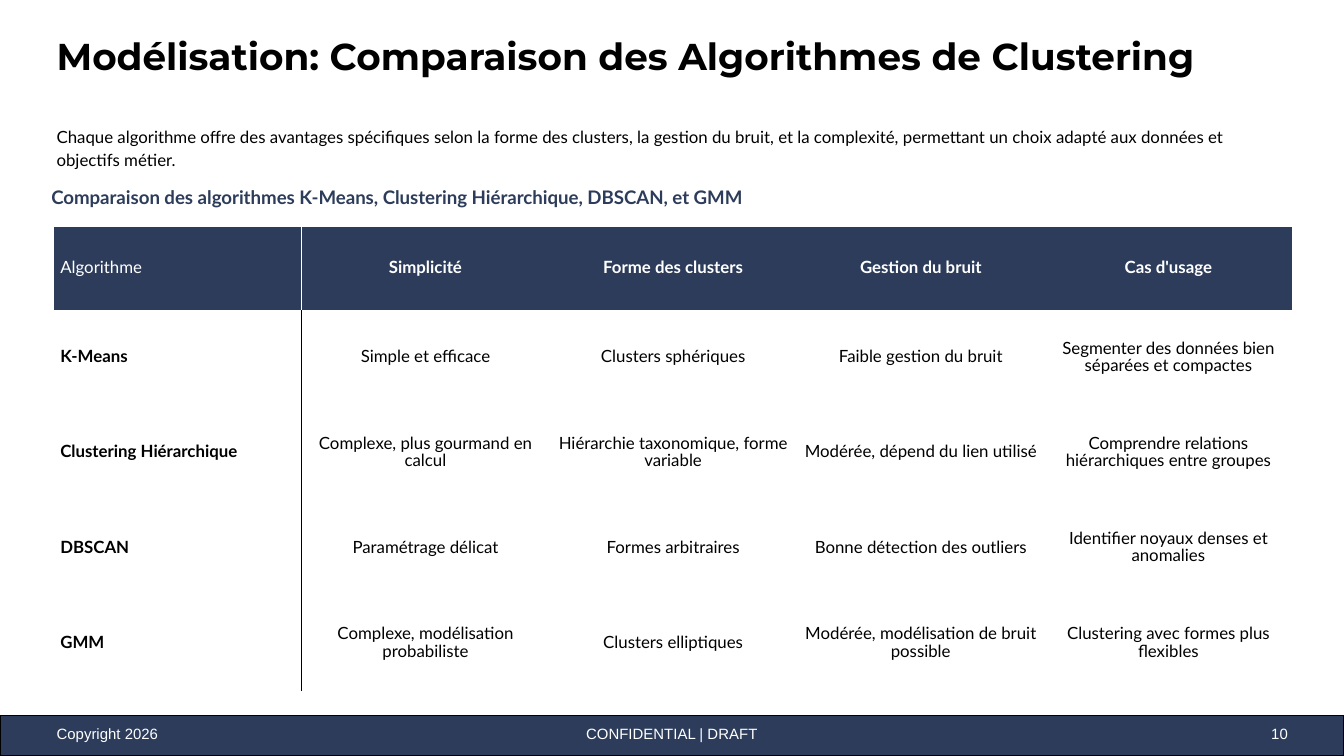
import pptx
import pptx.dml.color
import pptx.enum.shapes
import pptx.enum.text
import pptx.oxml
import pptx.oxml.ns
import pptx.util

Cm = pptx.util.Cm
Align = pptx.enum.text.PP_ALIGN
Anchor = pptx.enum.text.MSO_ANCHOR

NAVY, WHITE, BLACK = "2C3C5A", "FFFFFF", "000000"
MARGIN = 0.97
ROWS = [
    ["Algorithme", "Simplicité", "Forme des clusters", "Gestion du bruit", "Cas d'usage"],
    ["K-Means", "Simple et efficace", "Clusters sphériques", "Faible gestion du bruit",
     "Segmenter des données bien séparées et compactes"],
    ["Clustering Hiérarchique", "Complexe, plus gourmand en calcul",
     "Hiérarchie taxonomique, forme variable", "Modérée, dépend du lien utilisé",
     "Comprendre relations hiérarchiques entre groupes"],
    ["DBSCAN", "Paramétrage délicat", "Formes arbitraires", "Bonne détection des outliers",
     "Identifier noyaux denses et anomalies"],
    ["GMM", "Complexe, modélisation probabiliste", "Clusters elliptiques",
     "Modérée, modélisation de bruit possible", "Clustering avec formes plus flexibles"],
]


def rgb(code):
    """Return the colour for a hex string."""
    return pptx.dml.color.RGBColor.from_string(code)


def write_text(frame, text, size=9, font="Lato", color=BLACK, bold=False,
               align=Align.LEFT, spacing=None):
    """Write one formatted paragraph into a text frame."""
    paragraph = frame.paragraphs[0]
    paragraph.alignment = align
    if spacing:
        paragraph.line_spacing = spacing
    run = paragraph.add_run()
    run.text = text
    run.font.size = pptx.util.Pt(size)
    run.font.name = font
    run.font.bold = bold
    run.font.color.rgb = rgb(color)


def set_insets(target, left, top, right, bottom):
    """Set the inner margins of a text frame or a cell, in centimetres."""
    target.margin_left, target.margin_top = Cm(left), Cm(top)
    target.margin_right, target.margin_bottom = Cm(right), Cm(bottom)


def add_text(slide, text, left, top, width, height, insets=(0.1, 0.1, 0.1, 0.1),
             anchor=Anchor.MIDDLE, **style):
    """Add a wrapped text box placed in centimetres."""
    frame = slide.shapes.add_textbox(Cm(left), Cm(top), Cm(width), Cm(height)).text_frame
    frame.word_wrap = True
    frame.vertical_anchor = anchor
    set_insets(frame, *insets)
    write_text(frame, text, **style)


def set_borders(cell, **colors):
    """Draw the named cell sides (L, R, T, B) and clear the others."""
    for side in "LRTB":
        color = colors.get(side)
        paint = (f'<a:solidFill><a:srgbClr val="{color}"/></a:solidFill>'
                 if color else "<a:noFill/>")
        cell._tc.get_or_add_tcPr().append(pptx.oxml.parse_xml(
            f'<a:ln{side} {pptx.oxml.ns.nsdecls("a")} w="9525">{paint}</a:ln{side}>'))


def format_cell(cell, text, is_header, column):
    """Fill one table cell according to its row kind and column."""
    cell.vertical_anchor = Anchor.MIDDLE
    set_insets(cell, 0.12, 0, 0.12, 0)
    divider = WHITE if is_header else BLACK
    set_borders(cell, **{0: {"R": divider}, 1: {"L": divider}}.get(column, {}))
    if is_header:
        cell.fill.solid()
        cell.fill.fore_color.rgb = rgb(NAVY)
    else:
        cell.fill.background()
    write_text(cell.text_frame, text, color=WHITE if is_header else BLACK,
               bold=is_header != (column == 0),
               align=Align.CENTER if column else Align.LEFT, spacing=0.85)


def add_comparison(slide):
    """Add the table comparing the algorithms."""
    heights = [1.57] + [1.8] * (len(ROWS) - 1)
    column_count = len(ROWS[0])
    table = slide.shapes.add_table(len(ROWS), column_count, Cm(1.02), Cm(4.29),
                                   Cm(4.68 * column_count), Cm(sum(heights))).table
    table.horz_banding = False
    for column in table.columns:
        column.width = Cm(4.68)
    for row_index, (texts, height) in enumerate(zip(ROWS, heights)):
        table.rows[row_index].height = Cm(height)
        for column_index, text in enumerate(texts):
            format_cell(table.cell(row_index, column_index), text,
                        row_index == 0, column_index)


def add_footer(slide):
    """Add the footer band and its three labels."""
    band = slide.shapes.add_shape(pptx.enum.shapes.MSO_SHAPE.RECTANGLE,
                                  0, Cm(13.52), Cm(25.4), Cm(0.76))
    band.shadow.inherit = False
    band.fill.solid()
    band.fill.fore_color.rgb = rgb(NAVY)
    band.line.color.rgb = rgb(BLACK)
    band.line.width = pptx.util.Pt(0.75)
    labels = [("CONFIDENTIAL | DRAFT", 8.41, 8.58, Align.CENTER),
              ("Copyright 2026", MARGIN, 8.58, Align.LEFT),
              ("10", 18.72, 5.72, Align.RIGHT)]
    for text, left, width, align in labels:
        add_text(slide, text, left, 13.61, width, 0.53,
                 size=8, font="Arial", color=WHITE, align=align)


def main():
    """Build the slide and save it."""
    deck = pptx.Presentation()
    deck.slide_width, deck.slide_height = Cm(25.4), Cm(14.29)
    slide = deck.slides.add_slide(deck.slide_layouts[6])
    add_footer(slide)
    add_comparison(slide)
    add_text(slide, "Comparaison des algorithmes K-Means, Clustering Hiérarchique, DBSCAN, et GMM",
             MARGIN, 3.33, 23.6, 0.79, insets=(0, 0.25, 0.25, 0.25),
             size=10, color=NAVY, bold=True)
    add_text(slide, "Modélisation: Comparaison des Algorithmes de Clustering",
             MARGIN, 0.48, 23.5, 1.04, insets=(0.1, 0.1, 0.1, 0),
             size=20, font="Montserrat", bold=True)
    add_text(slide, "Chaque algorithme offre des avantages spécifiques selon la forme des clusters, "
             "la gestion du bruit, et la complexité, permettant un choix adapté aux données "
             "et objectifs métier.",
             MARGIN, 2.16, 23.5, 1.3, insets=(0.1, 0.18, 0.1, 0.1),
             anchor=Anchor.TOP, spacing=1.15)
    deck.save("out.pptx")


if __name__ == "__main__":
    main()
